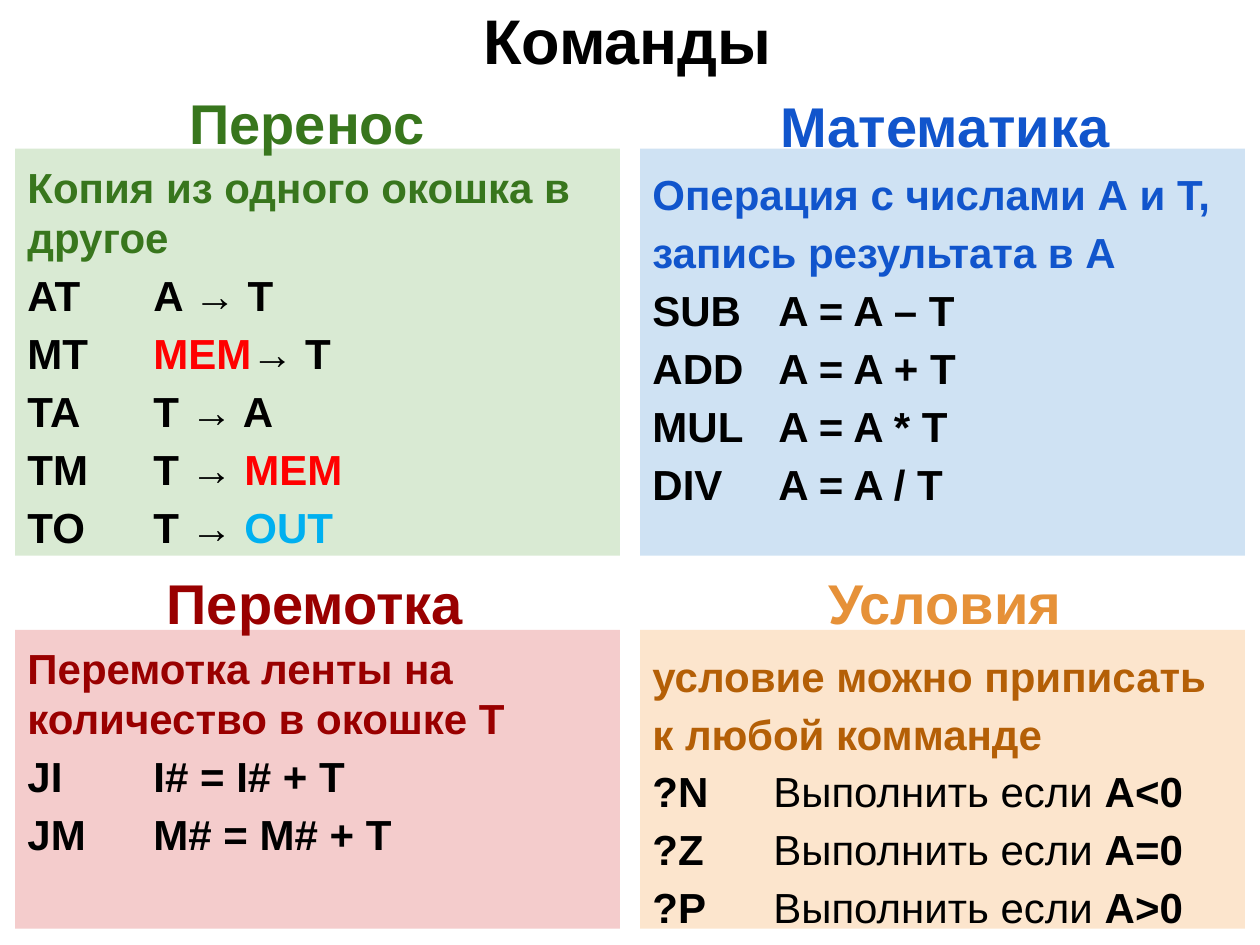
from lxml import etree
from pptx import Presentation, util as u
from pptx.dml.color import RGBColor
from pptx.enum import shapes, text
from pptx.oxml import ns

PX = u.Inches(1) // 100
INK = {
    "black": "000000", "red": "FF0000", "sky": "00B0F0",
    "green": "38761D", "mint": "D9EAD3",
    "blue": "1155CC", "ice": "CFE2F3",
    "maroon": "990000", "rose": "F4CCCC",
    "orange": "E69138", "brown": "B45F06", "cream": "FCE5CD",
}


def write(frame, lines, size=24, align=text.PP_ALIGN.LEFT, anchor=text.MSO_ANCHOR.TOP,
          intro_spacing=None, tab=100):
    frame.word_wrap = True
    frame.auto_size = text.MSO_AUTO_SIZE.NONE
    frame.vertical_anchor = anchor
    frame.margin_left = frame.margin_right = 10 * PX
    frame.margin_top = frame.margin_bottom = 10 * PX
    for row, pieces in enumerate(lines):
        paragraph = frame.paragraphs[0] if row == 0 else frame.add_paragraph()
        paragraph.alignment = align
        spacing = 1.15 if row else intro_spacing
        if spacing:
            paragraph.line_spacing = spacing
        if row:
            stops = etree.SubElement(paragraph._p.get_or_add_pPr(), ns.qn("a:tabLst"))
            etree.SubElement(stops, ns.qn("a:tab"), pos=str(tab * PX), algn="l")
        for words, ink, bold in pieces:
            run = paragraph.add_run()
            run.text = words
            run.font.name = "Arial"
            run.font.size = u.Pt(size)
            run.font.bold = bold
            run.font.color.rgb = RGBColor.from_string(INK[ink])


deck = Presentation()
deck.slide_width, deck.slide_height = 1000 * PX, 750 * PX
slide = deck.slides.add_slide(deck.slide_layouts[5])

title = slide.shapes.title
title.left, title.top, title.width, title.height = -2 * PX, 0, 1000 * PX, 71 * PX
write(title.text_frame, [[("Команды", "black", True)]], size=36,
      align=text.PP_ALIGN.CENTER, anchor=text.MSO_ANCHOR.BOTTOM)

transfer = [
    [("AT\tA → T", "black", True)],
    [("MT\t", "black", True), ("MEM", "red", True), ("→ T", "black", True)],
    [("TA\tT → A", "black", True)],
    [("TM\tT → ", "black", True), ("MEM", "red", True)],
    [("TO\tT → ", "black", True), ("OUT", "sky", True)],
]
maths = [[(f"{name}\tA = A {sign} T", "black", True)]
         for name, sign in (("SUB", "–"), ("ADD", "+"), ("MUL", "*"), ("DIV", "/"))]
rewind = [[(f"J{cell}\t{cell}# = {cell}# + T", "black", True)] for cell in "IM"]
conditions = [[(f"?{flag}\t", "black", True), ("Выполнить если ", "black", False),
               (f"A{sign}0", "black", True)]
              for flag, sign in (("N", "<"), ("Z", "="), ("P", ">"))]

sections = [
    ("Перенос ", "green", 60, "Копия из одного окошка в другое",
     "green", "mint", None, 100, transfer),
    ("Математика", "blue", 63, "Операция с числами А и Т, запись результата в А",
     "blue", "ice", 1.15, 100, maths),
    ("Перемотка", "maroon", 441, "Перемотка ленты на количество в окошке Т",
     "maroon", "rose", None, 100, rewind),
    ("Условия", "orange", 441, "условие можно приписать к любой комманде",
     "brown", "cream", 1.15, 96, conditions),
]
bands = [(118, 323), (500, 237)]

for index, section in enumerate(sections):
    name, name_ink, name_top, intro, intro_ink, fill, spacing, tab, commands = section
    row, column = divmod(index, 2)
    top, height = bands[row]
    panel = slide.shapes.add_shape(shapes.MSO_SHAPE.RECTANGLE, (12 + 496 * column) * PX,
                                   top * PX, 480 * PX, height * PX)
    panel.shadow.inherit = False
    panel.fill.solid()
    panel.fill.fore_color.rgb = RGBColor.from_string(INK[fill])
    panel.line.fill.background()
    write(panel.text_frame, [[(intro, intro_ink, True)]] + commands,
          intro_spacing=spacing, tab=tab)

    heading = slide.shapes.add_textbox(500 * column * PX, name_top * PX, 500 * PX, 76 * PX)
    write(heading.text_frame, [[(name, name_ink, True)]], size=32, align=text.PP_ALIGN.CENTER)

deck.save("out.pptx")
